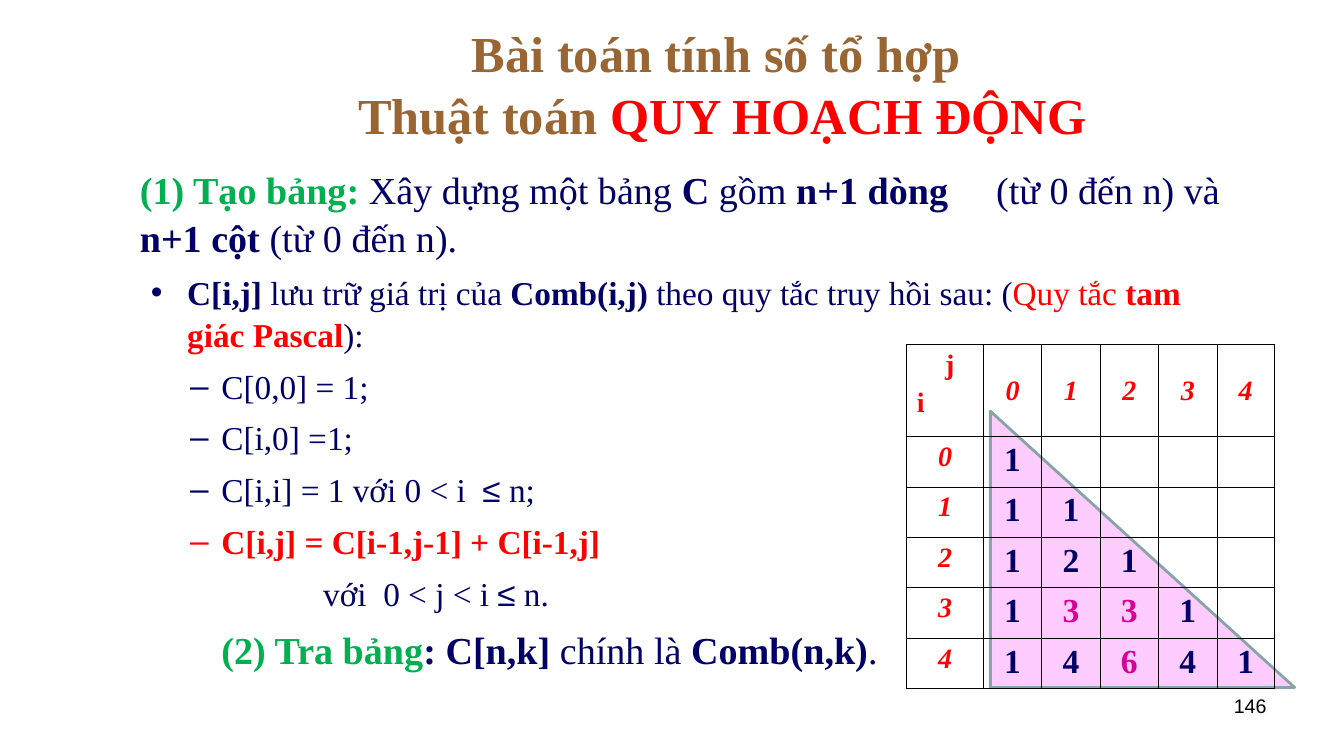
from dataclasses import dataclass

from lxml.etree import SubElement
from pptx import Presentation
from pptx.dml.color import RGBColor as RGB
from pptx.enum.shapes import MSO_SHAPE as SHAPE
from pptx.enum.text import MSO_ANCHOR as ANCHOR, MSO_AUTO_SIZE as FIT, PP_ALIGN as ALIGN
from pptx.oxml.ns import qn
from pptx.util import Inches, Pt


@dataclass(frozen=True)
class Theme:
    serif: str = "Times New Roman"
    sans: str = "Arial"
    navy: str = "000066"
    red: str = "FF0000"
    green: str = "00B050"
    brown: str = "996633"
    magenta: str = "D60093"
    black: str = "000000"
    pink: str = "FFCCFF"
    slate: str = "89A4A7"
    title: float = 36
    step: float = 27.2
    rule: float = 23.8
    value: float = 24
    index: float = 20
    number: float = 14


@dataclass
class Run:
    text: str
    color: str = Theme.navy
    bold: bool = False
    italic: bool = False
    font: str = Theme.serif


@dataclass
class Para:
    runs: list
    size: float
    before: float = 0
    spacing: float = 1.0
    left: float = 0
    hang: float = 0
    bullet: str = ""
    bullet_color: str = Theme.navy
    tab: float = 0
    align: ALIGN = ALIGN.LEFT


class SlideBuilder:
    def __init__(self, prs, theme):
        self.theme = theme
        self.slide = prs.slides.add_slide(prs.slide_layouts[5])

    def fill_text(self, tf, paras):
        for n, para in enumerate(paras):
            p = tf.add_paragraph() if n else tf.paragraphs[0]
            pPr = p._p.get_or_add_pPr()
            pPr.set("marL", str(Inches(para.left)))
            pPr.set("indent", str(-Inches(para.hang)))
            if para.bullet:
                color = SubElement(pPr, qn("a:buClr"))
                SubElement(color, qn("a:srgbClr"), val=para.bullet_color)
                SubElement(pPr, qn("a:buFont"), typeface=self.theme.sans)
                SubElement(pPr, qn("a:buChar"), char=para.bullet)
            else:
                SubElement(pPr, qn("a:buNone"))
            if para.tab:
                tabs = SubElement(pPr, qn("a:tabLst"))
                SubElement(tabs, qn("a:tab"), pos=str(Inches(para.tab)), algn="l")
            p.alignment = para.align
            p.line_spacing = para.spacing
            p.space_before = Pt(para.before if n else 0)
            for run in para.runs:
                for k, piece in enumerate(run.text.split("\n")):
                    if k:
                        p.add_line_break()
                    r = p.add_run()
                    r.text = piece
                    r.font.name, r.font.size = run.font, Pt(para.size)
                    r.font.bold, r.font.italic = run.bold, run.italic
                    r.font.color.rgb = RGB.from_string(run.color)

    def title(self, at, para):
        sp = self.slide.shapes.title
        sp.left, sp.top, sp.width, sp.height = map(Inches, at)
        tf = sp.text_frame
        tf.auto_size, tf.vertical_anchor = FIT.NONE, ANCHOR.MIDDLE
        self.fill_text(tf, [para])

    def text(self, at, paras):
        tf = self.slide.shapes.add_textbox(*map(Inches, at)).text_frame
        tf.word_wrap = True
        self.fill_text(tf, paras)

    def triangle(self, at):
        sp = self.slide.shapes.add_shape(SHAPE.RIGHT_TRIANGLE, *map(Inches, at))
        sp.shadow.inherit = False
        sp.fill.solid()
        sp.fill.fore_color.rgb = RGB.from_string(self.theme.pink)
        sp.line.color.rgb = RGB.from_string(self.theme.slate)
        sp.line.width = Pt(2)

    def border(self, cell, widths):
        tcPr = cell._tc.get_or_add_tcPr()
        for n, (side, width) in enumerate(widths.items()):
            ln = tcPr.makeelement(qn(f"a:ln{side}"), {"w": str(Pt(width))})
            fill = SubElement(ln, qn("a:solidFill"))
            SubElement(fill, qn("a:srgbClr"), val=self.theme.black)
            tcPr.insert(n, ln)

    def table(self, at, cols, rows, cells):
        frame = self.slide.shapes.add_table(len(rows), len(cols), *map(Inches, at))
        table = frame.table
        table.first_row = table.horz_banding = False
        for col, width in zip(table.columns, cols):
            col.width = Inches(width)
        for row, height in zip(table.rows, rows):
            row.height = Inches(height)
        outer, inner = 1.08, 0.45
        for i in range(len(rows)):
            for j in range(len(cols)):
                cell = table.cell(i, j)
                cell.fill.background()
                cell.vertical_anchor = ANCHOR.MIDDLE if i == 0 and j else ANCHOR.TOP
                self.border(cell, {
                    "L": outer if j == 0 else inner,
                    "R": outer if j == len(cols) - 1 else inner,
                    "T": outer if i == 0 else inner,
                    "B": outer if i == len(rows) - 1 else inner})
                if (i, j) in cells:
                    self.fill_text(cell.text_frame, cells[i, j])


def pascal_cells(t, n):
    def index(text):
        return [Para([Run(text, t.red, True, True)], t.index, align=ALIGN.CENTER)]

    cells = {(0, 0): [Para([Run("j", t.red, True)], t.index, left=0.28),
                      Para([Run("i", t.red, True)], t.index, before=5)]}
    comb = {}
    highlighted = {(3, 1), (3, 2), (4, 2)}
    for i in range(n + 1):
        cells[0, i + 1] = cells[i + 1, 0] = index(str(i))
        for j in range(i + 1):
            comb[i, j] = 1 if j in (0, i) else comb[i - 1, j - 1] + comb[i - 1, j]
            color = t.magenta if (i, j) in highlighted else t.navy
            cells[i + 1, j + 1] = [Para([Run(str(comb[i, j]), color, True)],
                                        t.value, align=ALIGN.CENTER)]
    return cells


def main():
    t = Theme()
    prs = Presentation()
    prs.slide_width, prs.slide_height = Inches(13.34), Inches(7.5)
    s = SlideBuilder(prs, t)

    # Title
    s.title((1.67, 0.3, 11, 1.03), Para(
        [Run("Bài toán tính số tổ hợp \nThuật toán ", t.brown, True),
         Run("QUY HOẠCH ĐỘNG", t.red, True)],
        t.title, spacing=1.04, align=ALIGN.CENTER))

    # Two steps and the recurrence rules
    def step(*runs, **layout):
        return Para(list(runs), t.step, before=8, spacing=1.05, **layout)

    def rule(*runs, left=0.81, hang=0.31, bullet="–", color=t.navy):
        return Para(list(runs), t.rule, before=7, spacing=1.05, left=left,
                    hang=hang, bullet=bullet, bullet_color=color)

    at_most = Run("≤", font=t.sans)
    s.text((1.29, 1.58, 11, 5.17), [
        step(Run("(1) Tạo bảng: ", t.green, True), Run("Xây dựng một bảng "),
             Run("C", bold=True), Run(" gồm "), Run("n+1 dòng\t", bold=True),
             Run("(từ 0 đến n) và "), Run("n+1 cột ", bold=True),
             Run("(từ 0 đến n)."), tab=8.79),
        rule(Run("C[i,j]", bold=True), Run(" lưu trữ giá trị của "),
             Run("Comb(i,j)", bold=True), Run(" theo quy tắc truy hồi sau: ("),
             Run("Quy tắc ", t.red), Run("tam giác Pascal", t.red, True), Run("):"),
             left=0.47, hang=0.36, bullet="•"),
        rule(Run("C[0,0] = 1;")),
        rule(Run("C[i,0] =1;")),
        rule(Run("C[i,i] = 1 với 0 < i  "), at_most, Run(" n;")),
        rule(Run("C[i,j] = C[i-1,j-1] + C[i-1,j]", t.red, True), color=t.red),
        rule(Run("với  0 < j < i "), at_most, Run(" n."), left=1.82, hang=0, bullet=""),
        step(Run("(2) Tra bảng", t.green, True), Run(": C[n,k] ", bold=True),
             Run("chính là "), Run("Comb(n,k)", bold=True), Run("."), left=0.81),
    ])

    # Pascal's triangle behind its table
    s.triangle((9.83, 4.08, 3.02, 2.74))
    s.table((9, 3.42, 3.67, 3.42), [0.76] + [0.58] * 4 + [0.57],
            [0.91] + [0.5] * 5, pascal_cells(t, 4))

    # Page number
    s.text((9.56, 6.83, 3.11, 0.52),
           [Para([Run("146", t.black, font=t.sans)], t.number, align=ALIGN.RIGHT)])
    prs.save("out.pptx")


if __name__ == "__main__":
    main()
